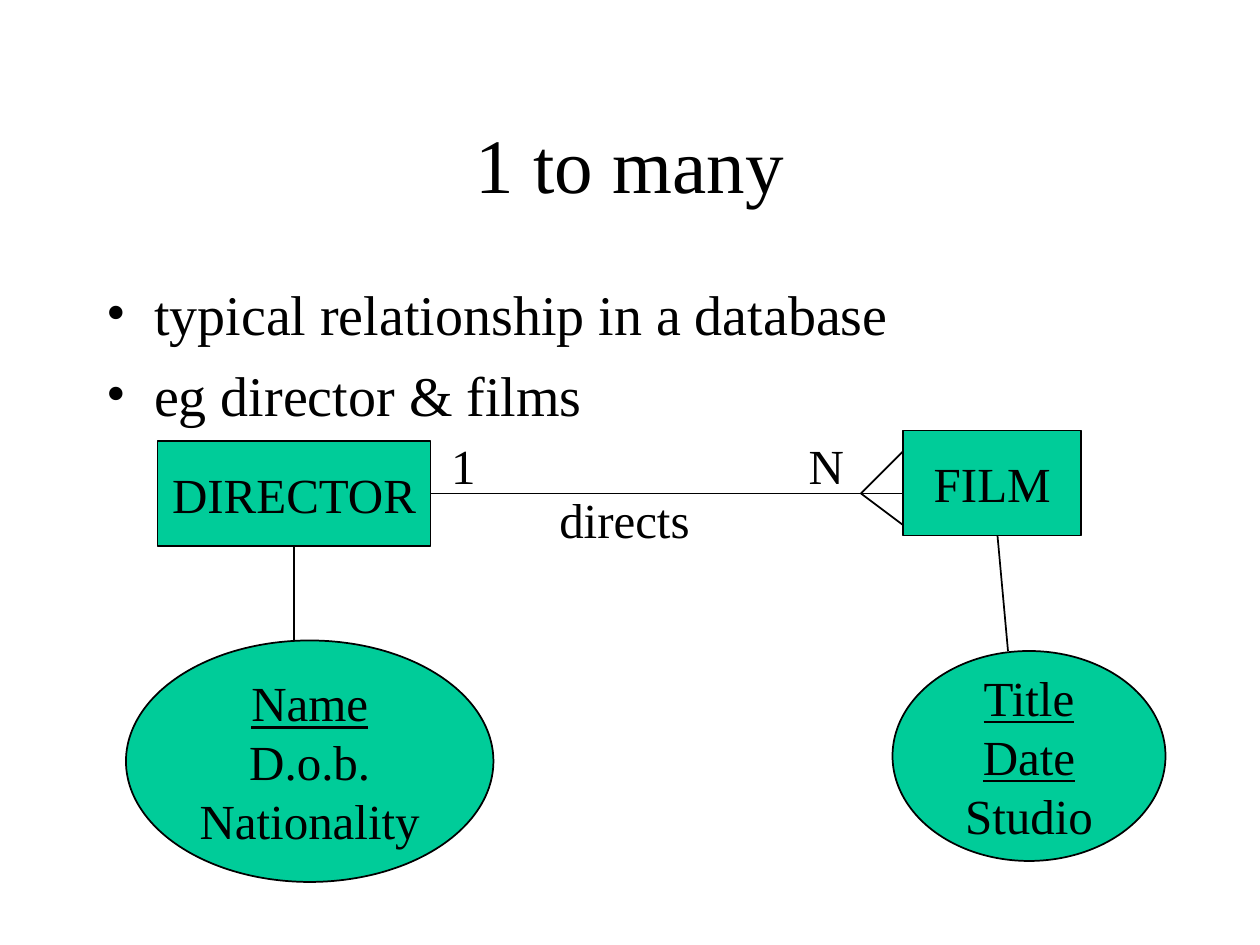
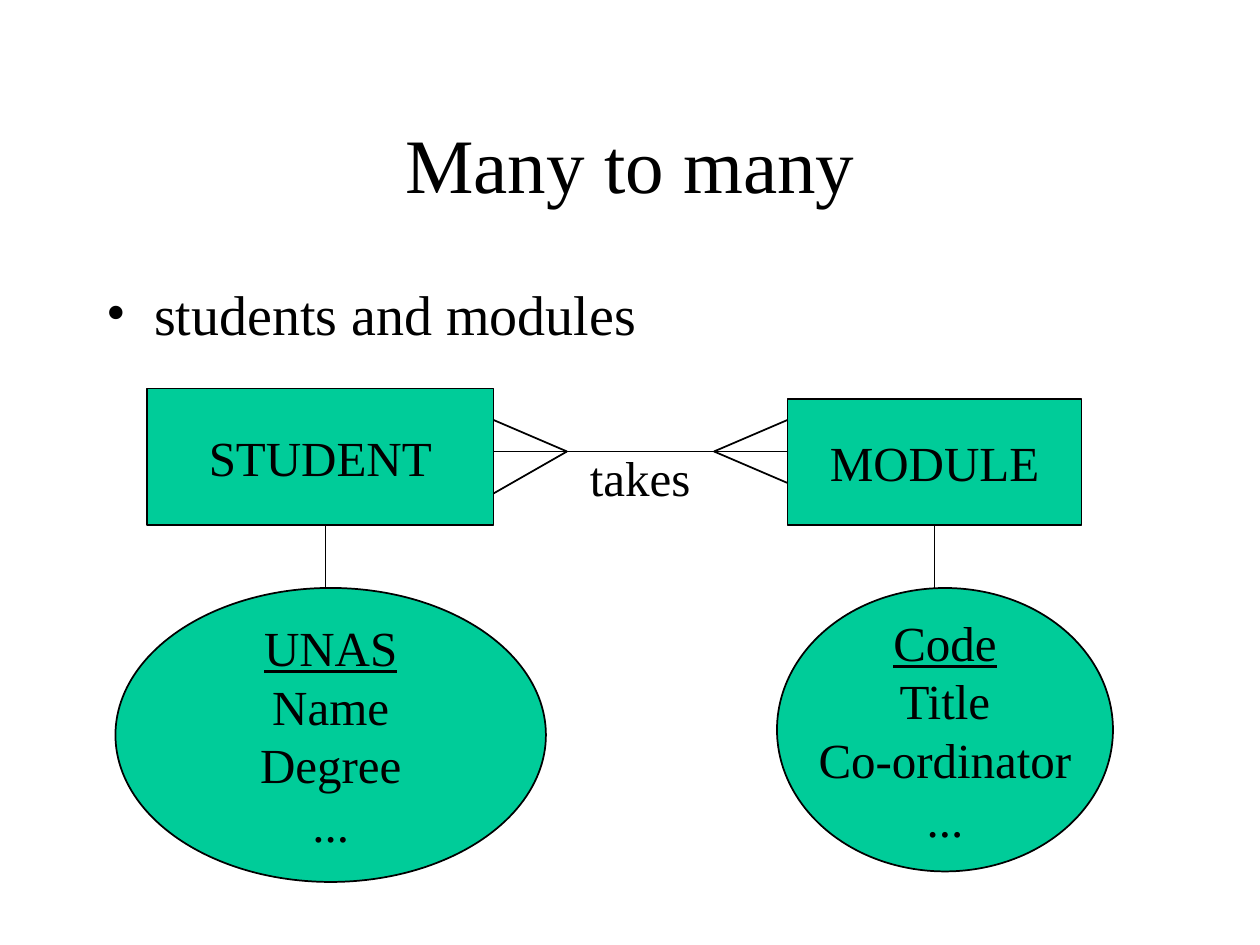
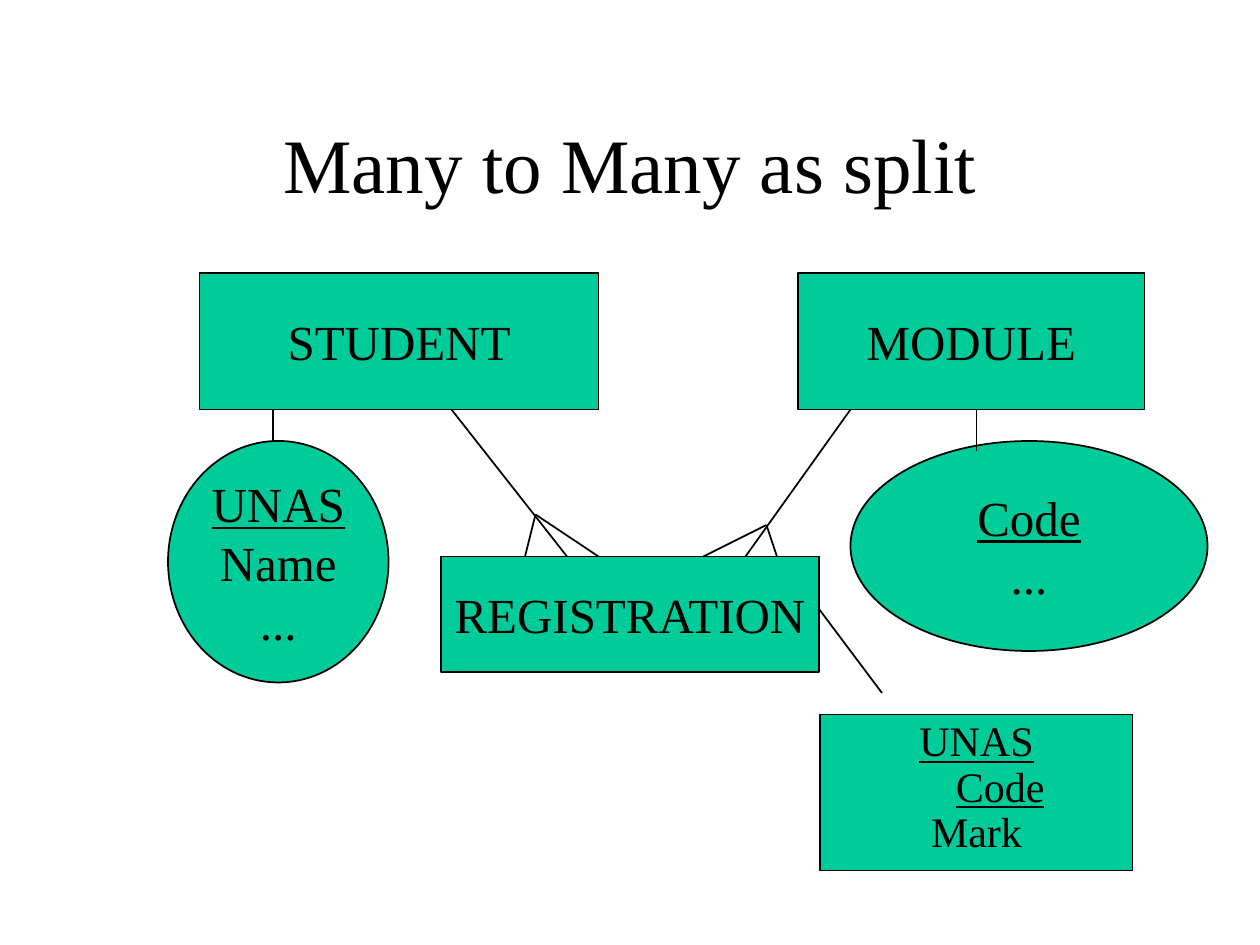
from lxml import etree
from pptx import Presentation
from pptx.dml.color import RGBColor
from pptx.enum.shapes import MSO_CONNECTOR, MSO_SHAPE
from pptx.enum.text import MSO_ANCHOR, MSO_AUTO_SIZE, PP_ALIGN
from pptx.oxml.ns import qn
from pptx.util import Pt

RECT = MSO_SHAPE.RECTANGLE
OVAL = MSO_SHAPE.OVAL
STRAIGHT = MSO_CONNECTOR.STRAIGHT
TOP, MIDDLE = MSO_ANCHOR.TOP, MSO_ANCHOR.MIDDLE
LEFT, CENTER = PP_ALIGN.LEFT, PP_ALIGN.CENTER
FIXED, GROW = MSO_AUTO_SIZE.NONE, MSO_AUTO_SIZE.SHAPE_TO_FIT_TEXT
BOTTOM_SITE, RIGHT_SITE = 2, 3

COLORS = {"ink": "000000", "entity": "00CC99", "paper": "FFFFFF"}
FONT = "Times New Roman"
TITLE_SIZE, BODY_SIZE, LABEL_SIZE, KEY_SIZE = 44, 32, 28, 24
HANG = 27


def rgb(name):
    return RGBColor.from_string(COLORS[name])


class Deck:
    def __init__(self):
        self.prs = Presentation()
        self.prs.slide_width, self.prs.slide_height = Pt(720), Pt(540)
        self.s = None

    def slide(self, title):
        self.s = self.prs.slides.add_slide(self.prs.slide_layouts[5])
        fill = self.s.background.fill
        fill.solid()
        fill.fore_color.rgb = rgb("paper")
        sp = self.s.shapes.title
        sp.left, sp.top, sp.width, sp.height = Pt(54), Pt(48), Pt(612), Pt(90)
        self.text(sp, title, TITLE_SIZE, CENTER, MIDDLE)

    def text(self, sp, text, size, align=LEFT, anchor=TOP, wrap=True, keys=0):
        tf = sp.text_frame
        tf.text = text
        tf.word_wrap = wrap
        tf.auto_size = FIXED
        tf.vertical_anchor = anchor
        for i, p in enumerate(tf.paragraphs):
            p.alignment = align
            for r in p.runs:
                r.font.name = FONT
                r.font.size = Pt(size)
                r.font.color.rgb = rgb("ink")
                if i < keys:
                    r.font.underline = True
        return tf

    def hang(self, p):
        pPr = p._p.get_or_add_pPr()
        pPr.set("marL", str(Pt(HANG)))
        pPr.set("indent", str(-Pt(HANG)))
        return pPr

    def bullets(self, text):
        sp = self.s.shapes.add_textbox(Pt(54), Pt(156), Pt(612), Pt(324))
        for p in self.text(sp, text, BODY_SIZE).paragraphs:
            p.space_before = Pt(8)
            pPr = self.hang(p)
            color = etree.SubElement(pPr, qn("a:buClr"))
            etree.SubElement(color, qn("a:srgbClr"), val=COLORS["ink"])
            etree.SubElement(pPr, qn("a:buFont"), typeface=FONT)
            etree.SubElement(pPr, qn("a:buChar"), char="•")

    def node(self, kind, x, y, w, h):
        sp = self.s.shapes.add_shape(kind, Pt(x), Pt(y), Pt(w), Pt(h))
        sp.shadow.inherit = False
        sp.fill.solid()
        sp.fill.fore_color.rgb = rgb("entity")
        sp.line.color.rgb = rgb("ink")
        sp.line.width = Pt(1)
        return sp

    def entity(self, text, x, y, w, h):
        sp = self.node(RECT, x, y, w, h)
        self.text(sp, text, LABEL_SIZE, CENTER, MIDDLE, wrap=False)
        return sp

    def attributes(self, text, x, y, w, h, keys=1):
        sp = self.node(OVAL, x, y, w, h)
        self.text(sp, text, LABEL_SIZE, CENTER, MIDDLE, wrap=False, keys=keys)

    def key_box(self, text, x, y, w, h):
        sp = self.node(RECT, x, y, w, h)
        for p in self.text(sp, text, KEY_SIZE, CENTER, keys=1).paragraphs:
            p.line_spacing = 0.9
            self.hang(p)

    def label(self, text, x, y, w):
        sp = self.s.shapes.add_textbox(Pt(x), Pt(y), Pt(w), Pt(41))
        self.text(sp, text, LABEL_SIZE, wrap=False).auto_size = GROW

    def line(self, start, end, source=None, site=BOTTOM_SITE):
        cx = self.s.shapes.add_connector(STRAIGHT, *map(Pt, start + end))
        cx.line.color.rgb = rgb("ink")
        cx.line.width = Pt(1)
        etree.SubElement(cx._element.spPr, qn("a:effectLst"))
        if source is not None:
            cx.begin_connect(source, site)

    def crow_foot(self, apex, *toes):
        for toe in toes:
            self.line(apex, toe)


def one_to_many(d):
    d.slide("1 to many")
    d.bullets("typical relationship in a database\neg director & films")
    director = d.entity("DIRECTOR", 90, 252, 156, 60)
    d.entity("FILM", 516, 246, 102, 60)
    d.line((246, 282), (516, 282), director, RIGHT_SITE)
    d.crow_foot((492, 282), (516, 258), (516, 300))
    d.label("directs", 312.5, 276, 90)
    d.label("1", 250.75, 245.5, 28.5)
    d.label("N", 455, 245.5, 35)
    d.attributes("Name\nD.o.b.\nNationality", 72, 366, 210, 138)
    d.line((168, 312), (168, 366), director)
    d.attributes("Title\nDate\nStudio", 510, 372, 156, 120, keys=2)
    d.line((570, 306), (576, 372))


def many_to_many(d):
    d.slide("Many to many")
    d.bullets("students and modules")
    d.entity("STUDENT", 84, 222, 198, 78)
    module = d.entity("MODULE", 450, 228, 168, 72)
    d.line((282, 258), (450, 258))
    d.crow_foot((324, 258), (282, 240), (282, 282))
    d.crow_foot((408, 258), (450, 240), (450, 276))
    d.label("takes", 330, 252, 72)
    d.attributes("UNAS\nName\nDegree\n...", 66, 336, 246, 168)
    d.line((186, 300), (186, 336))
    d.attributes("Code\nTitle\nCo-ordinator\n...", 444, 336, 192, 162)
    d.line((534, 300), (534, 336), module)


def split_many_to_many(d):
    d.slide("Many to Many as split")
    d.entity("STUDENT", 114, 156, 228, 78)
    d.entity("MODULE", 456, 156, 198, 78)
    d.entity("REGISTRATION", 252, 318, 216, 66)
    d.attributes("UNAS\nName\n...", 96, 252, 126, 138)
    d.line((156, 234), (156, 252))
    d.line((258, 234), (324, 318))
    d.crow_foot((306, 294), (300, 318), (342, 318))
    d.line((486, 234), (426, 318))
    d.crow_foot((438, 300), (444, 318), (402, 318))
    d.line((468, 348), (504, 396))
    d.attributes("Code\n...", 486, 252, 204, 120)
    d.key_box("UNAS\vCode\nMark", 468.75, 408.25, 178.5, 89.25)
    d.line((558, 234), (558, 258))


def main():
    d = Deck()
    one_to_many(d)
    many_to_many(d)
    split_many_to_many(d)
    d.prs.save("out.pptx")


if __name__ == "__main__":
    main()
